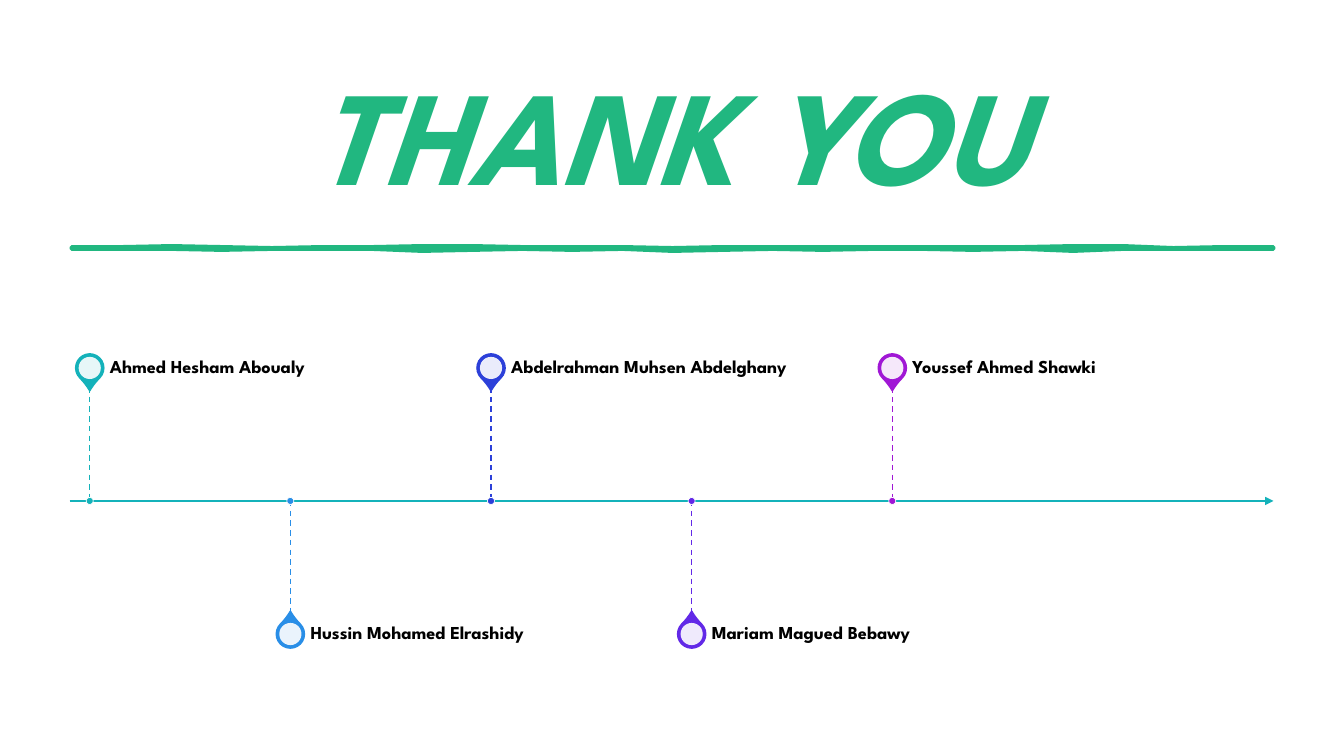
from lxml import etree
from pptx import Presentation, util as u
from pptx.dml import color
from pptx.enum import dml, shapes, text
from pptx.oxml import ns

FONT = "League Spartan"
GREEN, TEAL, WHITE, BLACK = "21B780", "14B2BA", "FFFFFF", "000000"
MEMBERS = [
    ("Ahmed Hesham Aboualy", TEAL),
    ("Hussin Mohamed Elrashidy", "298EE7"),
    ("Abdelrahman Muhsen Abdelghany", "2C40D9"),
    ("Mariam Magued Bebawy", "6229E7"),
    ("Youssef Ahmed Shawki", "A017D5"),
]
UPPER_WAVE = [0, 0, -1, 0, 1, 0, 0, -1, -1, 0, 0, 0, 1, 0, 0, 0, 0, 0, 0, 0, -1, -1, 1, 0, 0]
LOWER_WAVE = [0, 0, 0, 1, 0, 0, 0, 2, 1, 0, 1, 0, 2, 1, 0, 1, 0, 0, 1, 0, 2, 0, 0, 0, 0]


def paint(target, value):
    """Give a fill or a font colour format a solid hex colour."""
    if hasattr(target, "solid"):
        target.solid()
        target = target.fore_color
    target.rgb = color.RGBColor.from_string(value)


def write(frame, words, size, hue, italic=False, align=text.PP_ALIGN.LEFT,
          margins=(0, 0, 0, 0), spacing=1.0):
    """Write one bold paragraph, centred vertically in its frame."""
    frame.word_wrap = True
    frame.auto_size = text.MSO_AUTO_SIZE.NONE
    frame.vertical_anchor = text.MSO_ANCHOR.MIDDLE
    (frame.margin_left, frame.margin_top,
     frame.margin_right, frame.margin_bottom) = map(u.Inches, margins)
    para = frame.paragraphs[0]
    para.alignment = align
    para.line_spacing = spacing
    span = para.add_run()
    span.text = words
    span.font.name, span.font.size = FONT, u.Pt(size)
    span.font.bold, span.font.italic = True, italic
    paint(span.font.color, hue)


def add_line(page, start, end, hue, width, dash=None, arrow=False):
    """Draw a straight line, dashed or with an arrowhead on request."""
    line = page.shapes.add_connector(
        shapes.MSO_CONNECTOR.STRAIGHT, *map(u.Inches, (*start, *end)))
    paint(line.line.fill, hue)
    line.line.width = u.Pt(width)
    if dash:
        line.line.dash_style = dash
    if arrow:
        etree.SubElement(line.line._get_or_add_ln(), ns.qn("a:tailEnd"), type="triangle")
    etree.SubElement(line._element.spPr, ns.qn("a:effectLst"))


def add_centred(page, kind, centre, size, fill, outline=None, width=1):
    """Draw a preset shape of equal sides around a centre point."""
    left, top = (value - size / 2 for value in centre)
    shape = page.shapes.add_shape(kind, *map(u.Inches, (left, top, size, size)))
    shape.shadow.inherit = False
    paint(shape.fill, fill)
    if outline:
        paint(shape.line.fill, outline)
        shape.line.width = u.Pt(width)
    else:
        shape.line.fill.background()
    return shape


def add_heading(page, left, top, width, height):
    """Place the slide title in its box."""
    title = page.shapes.title
    title.left, title.top, title.width, title.height = map(
        u.Inches, (left, top, width, height))
    write(title.text_frame, "THANK YOU", 96, GREEN, italic=True,
          align=text.PP_ALIGN.CENTER, margins=(0.1, 0.05, 0.1, 0.05), spacing=0.9)


def add_divider(page, left, top, width, height):
    """Draw the hand-drawn rule as a thin wavy ribbon."""
    step = width / (len(UPPER_WAVE) - 1)
    upper = [(left + i * step, top + wave / 100) for i, wave in enumerate(UPPER_WAVE)]
    lower = [(left + i * step, top + height + wave / 100)
             for i, wave in enumerate(LOWER_WAVE)]
    points = [(u.Inches(x), u.Inches(y)) for x, y in upper + lower[::-1]]
    builder = page.shapes.build_freeform(*points[0])
    builder.add_line_segments(points[1:], close=True)
    ribbon = builder.convert_to_shape()
    ribbon.shadow.inherit = False
    paint(ribbon.fill, GREEN)
    paint(ribbon.line.fill, GREEN)
    ribbon.line.width = u.Pt(2.75)


def add_member(page, x, axis, name, hue, side):
    """Place a pin, name, stem and dot above (-1) or below (1) the axis."""
    pin_y = axis + side * 1.32
    pin = add_centred(page, shapes.MSO_SHAPE.TEAR, (x, pin_y), 0.28, hue, hue)
    pin.adjustments[0] = 1.15
    pin.rotation = 135 if side < 0 else 315
    hole = add_centred(page, shapes.MSO_SHAPE.OVAL, (x, pin_y), 0.22, WHITE)
    tint = hole.fill._xPr.find(".//" + ns.qn("a:srgbClr"))
    etree.SubElement(tint, ns.qn("a:alpha"), val="90000")
    box = page.shapes.add_textbox(*map(u.Inches, (x + 0.2, pin_y - 0.2, 3.31, 0.4)))
    write(box.text_frame, name, 13, BLACK, margins=(0, 0, 0.09, 0), spacing=0.9)
    add_line(page, (x, min(axis, axis + side * 1.13)), (x, max(axis, axis + side * 1.13)),
             hue, 1, dash=dml.MSO_LINE.DASH)
    add_centred(page, shapes.MSO_SHAPE.OVAL, (x, axis), 0.07, hue, WHITE, 0.5)


def add_timeline(page, left, top, width, height):
    """Draw the arrow and spread the members along it, alternating sides."""
    axis = top + height / 2
    add_line(page, (left, axis), (left + width, axis), TEAL, 1.5, arrow=True)
    for i, (name, hue) in enumerate(MEMBERS):
        add_member(page, left + 0.2 + i * width / 6, axis, name, hue, 1 if i % 2 else -1)


def main():
    """Build and save the closing slide."""
    deck = Presentation()
    deck.slide_width, deck.slide_height = u.Inches(13.33), u.Inches(7.5)
    page = deck.slides.add_slide(deck.slide_layouts[5])
    add_heading(page, 0.69, 0.69, 11.94, 1.44)
    add_divider(page, 0.71, 2.45, 11.92, 0.02)
    add_timeline(page, 0.69, 3.45, 11.94, 3.04)
    deck.save("out.pptx")


if __name__ == "__main__":
    main()
